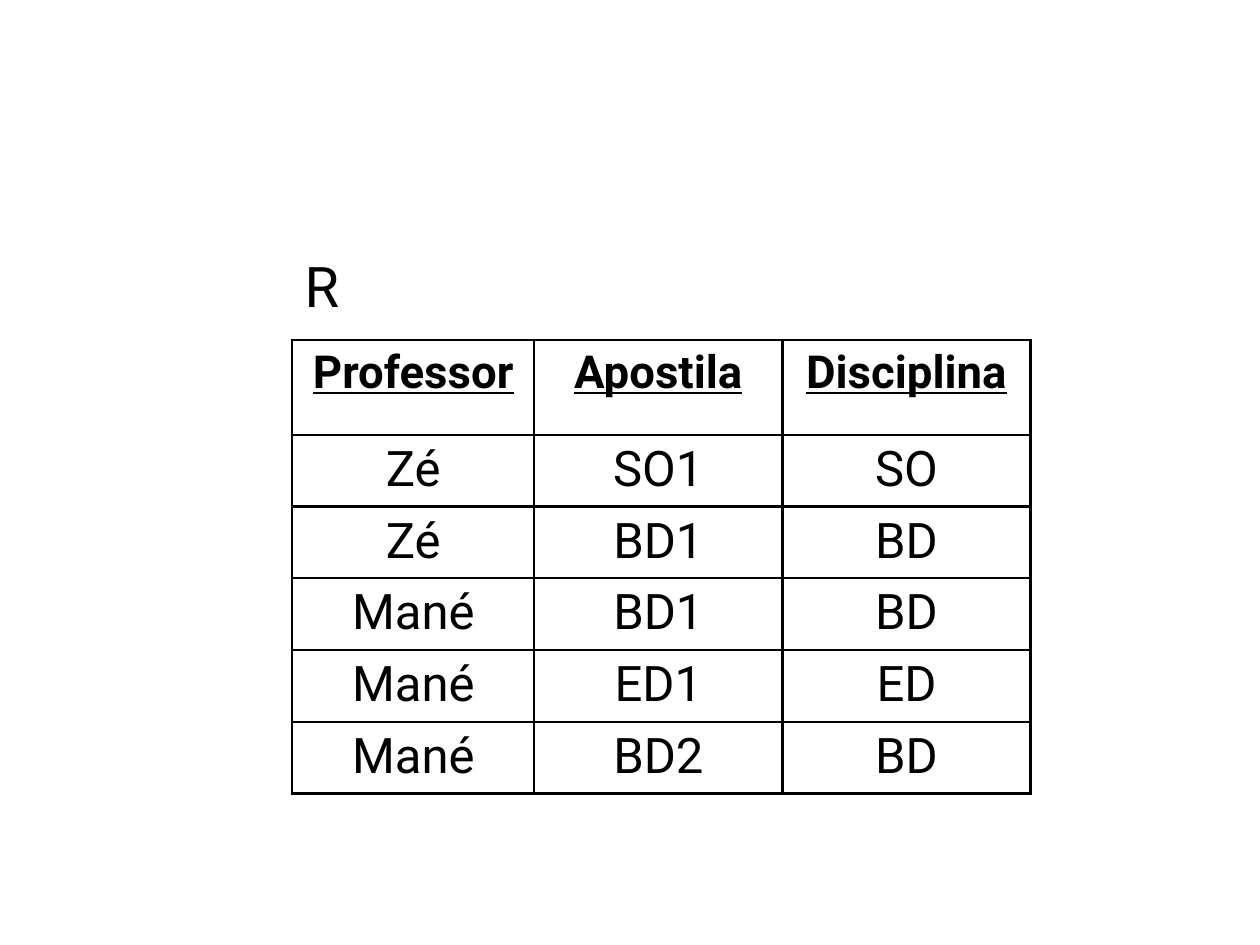
from lxml import etree
from pptx import Presentation, util as u
from pptx.dml.color import RGBColor
from pptx.enum import text as t
from pptx.oxml import ns

WIDE, HIGH = u.Inches(10), u.Inches(7.5)
INK = {"text": "000000", "line": "000000", "cell": "FFFFFF"}
FONT = "Roboto"
EDGE = u.Pt(1.47)
COLS = (1.92, 1.97, 1.97)
ROWS = (0.75,) + (0.57,) * 5
HEAD = ("Professor", "Apostila", "Disciplina")
DATA = (
    ("Zé", "SO1", "SO"),
    ("Zé", "BD1", "BD"),
    ("Mané", "BD1", "BD"),
    ("Mané", "ED1", "ED"),
    ("Mané", "BD2", "BD"),
)


def area(x, y, w, h):
    """Turn shares of the slide into lengths."""
    return [int(n) for n in (x * WIDE, y * HIGH, w * WIDE, h * HIGH)]


def write(frame, words, size, bold=False, line=False, align=t.PP_ALIGN.LEFT):
    para = frame.paragraphs[0]
    para.alignment = align
    run = para.add_run()
    run.text = words
    font = run.font
    font.name, font.size = FONT, u.Pt(size)
    font.bold, font.underline = bold, line
    font.color.rgb = RGBColor.from_string(INK["text"])


def border(cell):
    props = cell._tc.get_or_add_tcPr()
    for side in ("a:lnL", "a:lnR", "a:lnT", "a:lnB"):
        edge = etree.SubElement(props, ns.qn(side), w=str(int(EDGE)))
        fill = etree.SubElement(edge, ns.qn("a:solidFill"))
        etree.SubElement(fill, ns.qn("a:srgbClr"), val=INK["line"])


def name(slide, box, words):
    label = slide.shapes.add_textbox(*box).text_frame
    label.word_wrap = True
    write(label, words, 32)


def grid(slide, box, head, data):
    """Draw a ruled table whose columns and rows share the box by weight."""
    _, _, wide, high = box
    table = slide.shapes.add_table(len(data) + 1, len(head), *box).table
    table.first_row = table.horz_banding = False
    for col, part in zip(table.columns, COLS):
        col.width = int(wide * part / sum(COLS))
    for row, part in zip(table.rows, ROWS):
        row.height = int(high * part / sum(ROWS))
    for r, line in enumerate((head, *data)):
        top = r == 0
        for c, words in enumerate(line):
            cell = table.cell(r, c)
            border(cell)
            cell.fill.solid()
            cell.fill.fore_color.rgb = RGBColor.from_string(INK["cell"])
            write(cell.text_frame, words, 26 if top else 28, bold=top,
                  line=top, align=t.PP_ALIGN.CENTER)


def main():
    deck = Presentation()
    deck.slide_width, deck.slide_height = WIDE, HIGH
    slide = deck.slides.add_slide(deck.slide_layouts[6])
    left = 2.32 / 10
    grid(slide, area(left, 0.36, sum(COLS) / 10, sum(ROWS) / 7.5), HEAD, DATA)
    name(slide, area(left, 0.26, 1.03 / 10, 0.64 / 7.5), "R")
    deck.save("out.pptx")


if __name__ == "__main__":
    main()
